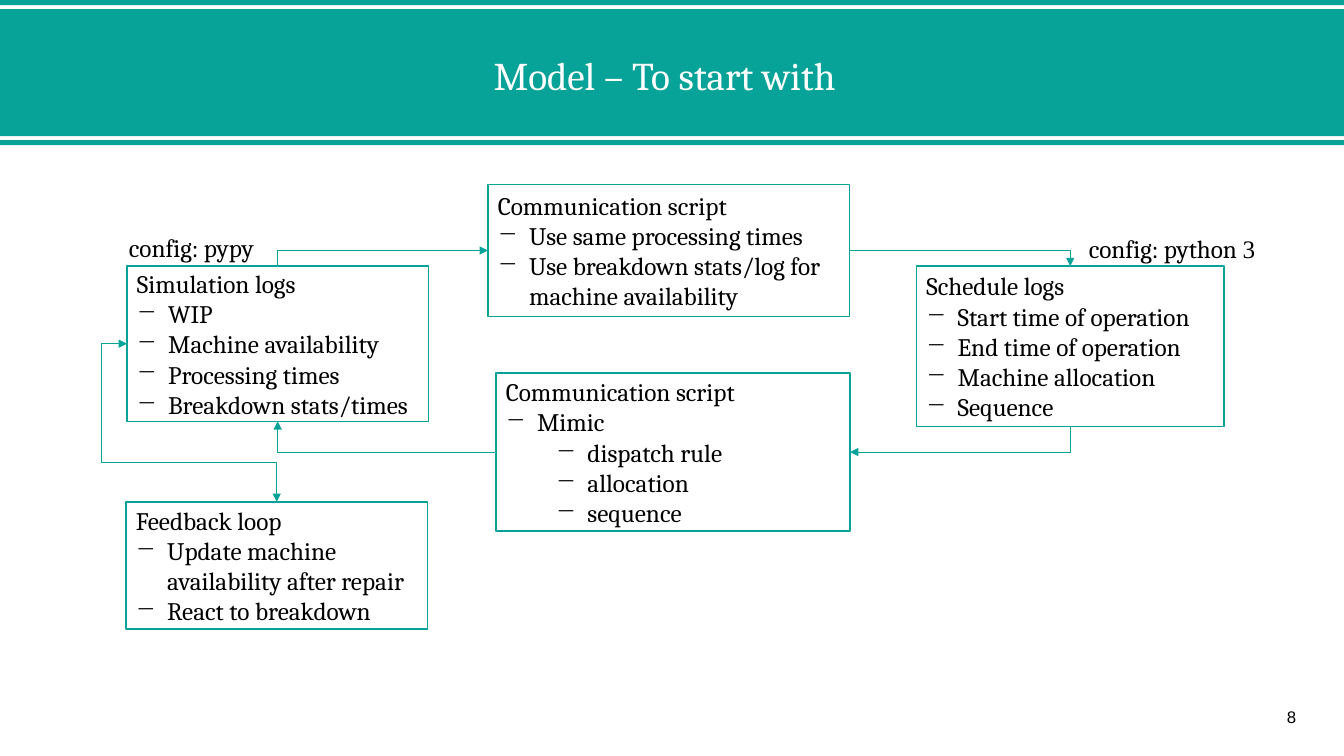
from lxml.etree import SubElement
from pptx import Presentation
from pptx.dml.color import RGBColor
from pptx.enum.shapes import MSO_CONNECTOR, MSO_SHAPE
from pptx.enum.text import MSO_ANCHOR, PP_ALIGN
from pptx.oxml.ns import qn
from pptx.util import Inches, Pt

WIDTH, HEIGHT = Inches(13.33), Inches(7.5)
COLORS = {"teal": "07A398", "text": "000000", "title": "FFFFFF"}
SERIF = "Cambria"

# Left, top, width, height as percentages of the slide
BANDS = [(0, 0, 100, 0.67), (0, 1.2, 100, 16.8), (0, 18.53, 100, 0.67)]
BOXES = {
    "simulation": (9.45, 35.2, 22.43, 20.53),
    "schedule": (68.19, 35.2, 22.88, 21.2),
    "inputs": (36.3, 24.4, 26.93, 17.47),
    "mimic": (36.9, 49.33, 26.35, 20.93),
    "feedback": (9.38, 66.4, 22.43, 16.8),
}

# Heading, then (level, bullet text) for each box
CONTENT = {
    "simulation": ("Simulation logs", [
        (0, "WIP"), (0, "Machine availability"),
        (0, "Processing times"), (0, "Breakdown stats/times")]),
    "schedule": ("Schedule logs", [
        (0, "Start time of operation"), (0, "End time of operation"),
        (0, "Machine allocation"), (0, "Sequence")]),
    "inputs": ("Communication script", [
        (0, "Use same processing times"),
        (0, "Use breakdown stats/log for machine availability")]),
    "mimic": ("Communication script", [
        (0, "Mimic"), (1, "dispatch rule"), (1, "allocation"), (1, "sequence")]),
    "feedback": ("Feedback loop", [
        (0, "Update machine availability after repair"),
        (0, "React to breakdown")]),
}


def color(name):
    return RGBColor.from_string(COLORS[name])


def across(share):
    return round(WIDTH * share / 100)


def down(share):
    return round(HEIGHT * share / 100)


def place(area):
    left, top, width, height = area
    return across(left), down(top), across(width), down(height)


def side(name, edge):
    """Middle of one edge of a box, in percentages."""
    left, top, width, height = BOXES[name]
    return {
        "top": (left + width / 2, top),
        "bottom": (left + width / 2, top + height),
        "left": (left, top + height / 2),
        "right": (left + width, top + height / 2),
    }[edge]


def add_run(paragraph, text, size=18, font=SERIF, shade="text"):
    run = paragraph.add_run()
    run.text = text
    run.font.size = Pt(size)
    run.font.name = font
    run.font.color.rgb = color(shade)


def add_bullet(paragraph, level):
    paragraph.level = level
    properties = paragraph._p.get_or_add_pPr()
    properties.set("marL", str(Inches(0.31 + 0.5 * level)))
    properties.set("indent", str(Inches(-0.31)))
    SubElement(properties, qn("a:buChar")).set("char", "−")


def add_rectangle(slide, area):
    shape = slide.shapes.add_shape(MSO_SHAPE.RECTANGLE, *place(area))
    shape.shadow.inherit = False
    return shape


def add_band(slide, area):
    band = add_rectangle(slide, area)
    band.fill.solid()
    band.fill.fore_color.rgb = color("teal")
    band.line.fill.background()


def add_list_box(slide, area, heading, items):
    box = add_rectangle(slide, area)
    box.fill.background()
    box.line.color.rgb = color("teal")
    box.line.width = Pt(1)
    frame = box.text_frame
    frame.word_wrap = True
    frame.vertical_anchor = MSO_ANCHOR.MIDDLE
    paragraph = frame.paragraphs[0]
    paragraph.alignment = PP_ALIGN.LEFT
    add_run(paragraph, heading)
    for level, text in items:
        paragraph = frame.add_paragraph()
        paragraph.alignment = PP_ALIGN.LEFT
        add_bullet(paragraph, level)
        add_run(paragraph, text)


def add_label(slide, area, align=PP_ALIGN.LEFT):
    frame = slide.shapes.add_textbox(*place(area)).text_frame
    frame.word_wrap = True
    paragraph = frame.paragraphs[0]
    paragraph.alignment = align
    return paragraph


def add_elbow(slide, start, end, vertical_first=False, bends=(), both_ends=False):
    """Elbow arrow with one corner, or three when two bend shares are given."""
    x1, y1, x2, y2 = across(start[0]), down(start[1]), across(end[0]), down(end[1])
    if vertical_first:  # turn the frame a quarter about its centre
        center_x, center_y = (x1 + x2) // 2, (y1 + y2) // 2
        half_x, half_y = (y2 - y1) // 2, (x1 - x2) // 2
        x1, x2 = center_x - half_x, center_x + half_x
        y1, y2 = center_y - half_y, center_y + half_y
    connector = slide.shapes.add_connector(MSO_CONNECTOR.ELBOW, x1, y1, x2, y2)
    connector.line.color.rgb = color("teal")
    connector.line.width = Pt(0.5)
    properties = connector._element.spPr
    if vertical_first:
        properties.find(qn("a:xfrm")).set("rot", str(90 * 60000))

    geometry = properties.find(qn("a:prstGeom"))
    geometry.set("prst", "bentConnector4" if bends else "bentConnector2")
    adjustments = geometry.find(qn("a:avLst"))
    for number, bend in enumerate(bends, 1):
        guide = SubElement(adjustments, qn("a:gd"))
        guide.set("name", f"adj{number}")
        guide.set("fmla", f"val {round(bend * 100000)}")

    line = properties.find(qn("a:ln"))
    for tag in ["a:headEnd", "a:tailEnd"] if both_ends else ["a:tailEnd"]:
        SubElement(line, qn(tag)).set("type", "triangle")
    SubElement(properties, qn("a:effectLst"))


def main():
    presentation = Presentation()
    presentation.slide_width, presentation.slide_height = WIDTH, HEIGHT
    slide = presentation.slides.add_slide(presentation.slide_layouts[6])

    # Header and slide number
    for band in BANDS:
        add_band(slide, band)
    title = add_label(slide, (23.03, 6.13, 52.81, 7.6), PP_ALIGN.CENTER)
    add_run(title, "Model – To start with", size=28, shade="title")
    number = add_label(slide, (93.17, 92.8, 5.85, 3.87), PP_ALIGN.CENTER)
    number.space_after = Pt(6)
    add_run(number, "8", size=12, font="Arial")

    # Boxes
    for name, (heading, items) in CONTENT.items():
        add_list_box(slide, BOXES[name], heading, items)

    # Arrows round the loop, then the feedback arrow
    add_elbow(slide, side("simulation", "top"), side("inputs", "left"), vertical_first=True)
    add_elbow(slide, side("inputs", "right"), side("schedule", "top"))
    add_elbow(slide, side("schedule", "bottom"), side("mimic", "right"), vertical_first=True)
    add_elbow(slide, side("mimic", "left"), side("simulation", "bottom"))
    add_elbow(slide, side("simulation", "left"), side("feedback", "top"),
              bends=(-0.17, 0.75), both_ends=True)

    # Configuration labels
    add_run(add_label(slide, (8.85, 30.13, 15.38, 5.33)), "config: pypy")
    python_label = add_label(slide, (80.27, 30.2, 15.38, 5.33))
    add_run(python_label, "config: python ")
    add_run(python_label, "3", font="Times New Roman")

    presentation.save("out.pptx")


if __name__ == "__main__":
    main()
